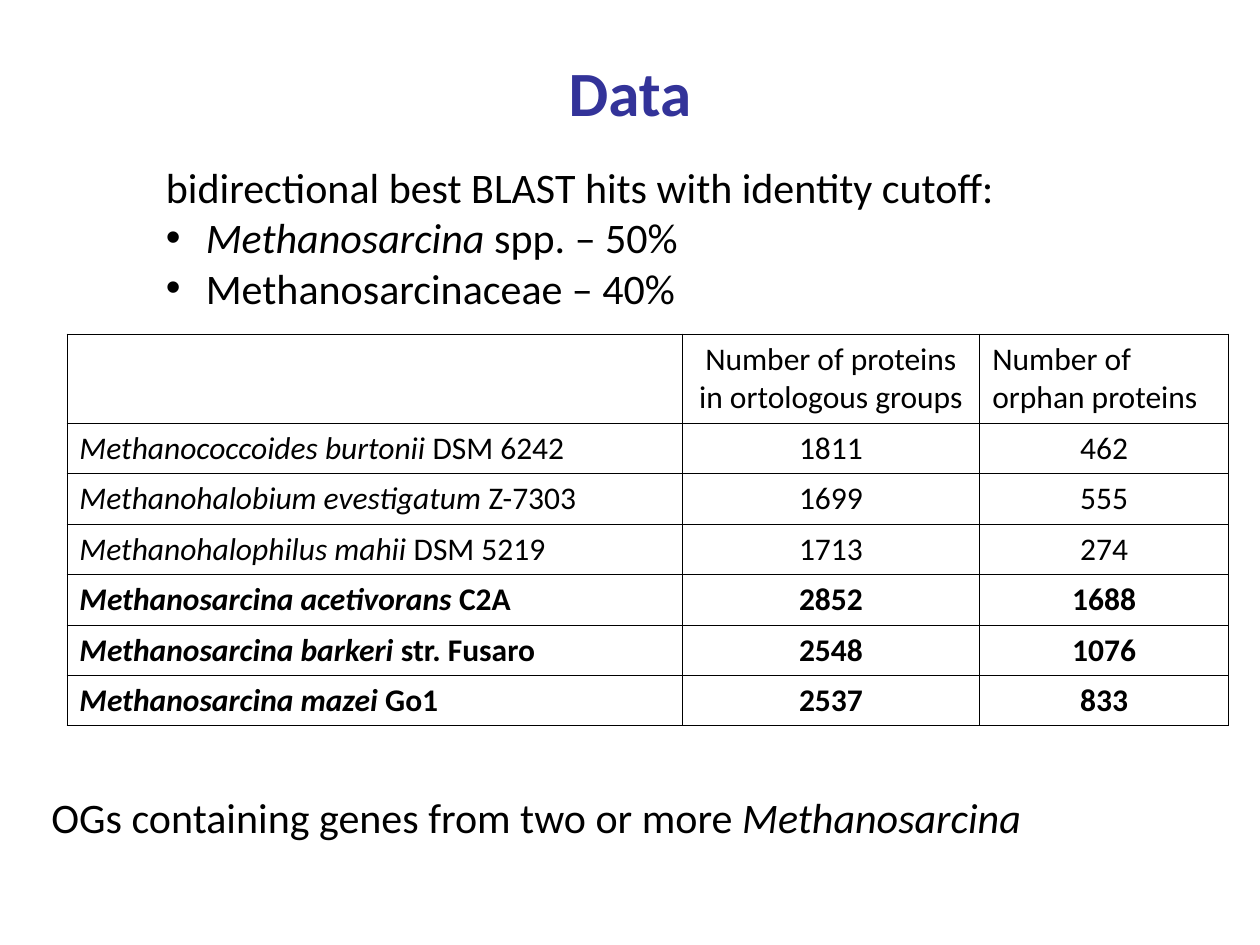
from lxml.etree import SubElement
from pptx import Presentation
from pptx.dml.color import RGBColor
from pptx.enum.text import MSO_ANCHOR as ANCHOR, MSO_AUTO_SIZE as AUTO, PP_ALIGN as ALIGN
from pptx.oxml.ns import qn
from pptx.util import Pt

COLORS = {"title": "333399", "text": "000000", "border": "000000"}
FONT = "Calibri"

GENOMES = [  # species, strain, proteins in groups, orphans, bold
    ("Methanococcoides burtonii", "DSM 6242", 1811, 462, False),
    ("Methanohalobium evestigatum", "Z-7303", 1699, 555, False),
    ("Methanohalophilus mahii", "DSM 5219", 1713, 274, False),
    ("Methanosarcina acetivorans", "C2A", 2852, 1688, True),
    ("Methanosarcina barkeri", "str. Fusaro", 2548, 1076, True),
    ("Methanosarcina mazei", "Go1", 2537, 833, True),
]


def add_run(p, text, size=24, color="text", bold=False, italic=False):
    r = p.add_run()
    r.text = text
    r.font.name, r.font.size = FONT, Pt(size)
    r.font.bold, r.font.italic = bold, italic
    r.font.color.rgb = RGBColor.from_string(COLORS[color])


def add_bullet(p, indent):
    pPr = p._p.get_or_add_pPr()
    pPr.set("marL", str(Pt(indent)))
    pPr.set("indent", str(-Pt(indent)))
    SubElement(pPr, qn("a:buFont"), typeface="Arial")
    SubElement(pPr, qn("a:buChar"), char="•")


def set_borders(cell, width=0.45):
    tcPr = cell._tc.get_or_add_tcPr()
    for i, side in enumerate(("lnL", "lnR", "lnT", "lnB")):
        ln = SubElement(tcPr, qn(f"a:{side}"), w=str(Pt(width)))
        fill = SubElement(ln, qn("a:solidFill"))
        SubElement(fill, qn("a:srgbClr"), val=COLORS["border"])
        tcPr.insert(i, ln)


def add_title(s, x, y, w, h):
    sp = s.shapes.title
    sp.left, sp.top, sp.width, sp.height = Pt(x), Pt(y), Pt(w), Pt(h)
    tf = sp.text_frame
    tf.vertical_anchor = ANCHOR.MIDDLE
    p = tf.paragraphs[0]
    p.alignment = ALIGN.CENTER
    add_run(p, "Data", size=36, color="title", bold=True)


def add_text_frame(s, x, y, w, h):
    tf = s.shapes.add_textbox(Pt(x), Pt(y), Pt(w), Pt(h)).text_frame
    tf.word_wrap = True
    tf.auto_size = AUTO.SHAPE_TO_FIT_TEXT
    return tf


def add_cutoffs(s, x, y, w, h):
    tf = add_text_frame(s, x, y, w, h)
    add_run(tf.paragraphs[0], "bidirectional best BLAST hits with identity cutoff:")
    for genus, rest in (("Methanosarcina", " spp. – 50%"), ("", "Methanosarcinaceae – 40%")):
        p = tf.add_paragraph()
        add_bullet(p, 22.8)
        if genus:
            add_run(p, genus, italic=True)
        add_run(p, rest)


def fill_cell(cell, runs, align=ALIGN.LEFT, anchor=ANCHOR.BOTTOM, bold=False):
    cell.vertical_anchor = anchor
    p = cell.text_frame.paragraphs[0]
    p.alignment = align
    for text, italic in runs:
        add_run(p, text, size=18, bold=bold, italic=italic)


def add_genome_table(s, x, y, w, h, header_h=51):
    rows = len(GENOMES) + 1
    table = s.shapes.add_table(rows, 3, Pt(x), Pt(y), Pt(w), Pt(h)).table
    table.first_row = table.horz_banding = False
    for col, col_w in zip(table.columns, (351.5, 170.2, w - 351.5 - 170.2)):
        col.width = Pt(col_w)
    for i, row in enumerate(table.rows):
        row.height = Pt((h - header_h) / (rows - 1) if i else header_h)
    for cell in table.iter_cells():
        cell.fill.background()
        set_borders(cell)

    # Header row
    fill_cell(table.cell(0, 1), [("Number of proteins in ortologous groups", False)],
              align=ALIGN.CENTER, anchor=ANCHOR.TOP)
    fill_cell(table.cell(0, 2), [("Number of orphan proteins", False)])

    # One row for each genome
    for i, (species, strain, grouped, orphans, bold) in enumerate(GENOMES, 1):
        fill_cell(table.cell(i, 0), [(species, True), (f" {strain}", False)], bold=bold)
        for j, count in enumerate((grouped, orphans), 1):
            fill_cell(table.cell(i, j), [(str(count), False)], align=ALIGN.CENTER, bold=bold)


def add_footnote(s, x, y, w, h):
    p = add_text_frame(s, x, y, w, h).paragraphs[0]
    add_run(p, "OGs containing genes from two or more ")
    add_run(p, "Methanosarcina", italic=True)


def main():
    prs = Presentation()
    prs.slide_width, prs.slide_height = Pt(720), Pt(540)
    s = prs.slides.add_slide(prs.slide_layouts[5])
    add_title(s, 36, 21.6, 648, 61.2)
    add_cutoffs(s, 87.8, 88.6, 521.3, 93.6)
    add_genome_table(s, 38.2, 190.8, 663.8, 223.8)
    add_footnote(s, 22.3, 448.6, 679.7, 36)
    prs.save("out.pptx")


if __name__ == "__main__":
    main()
